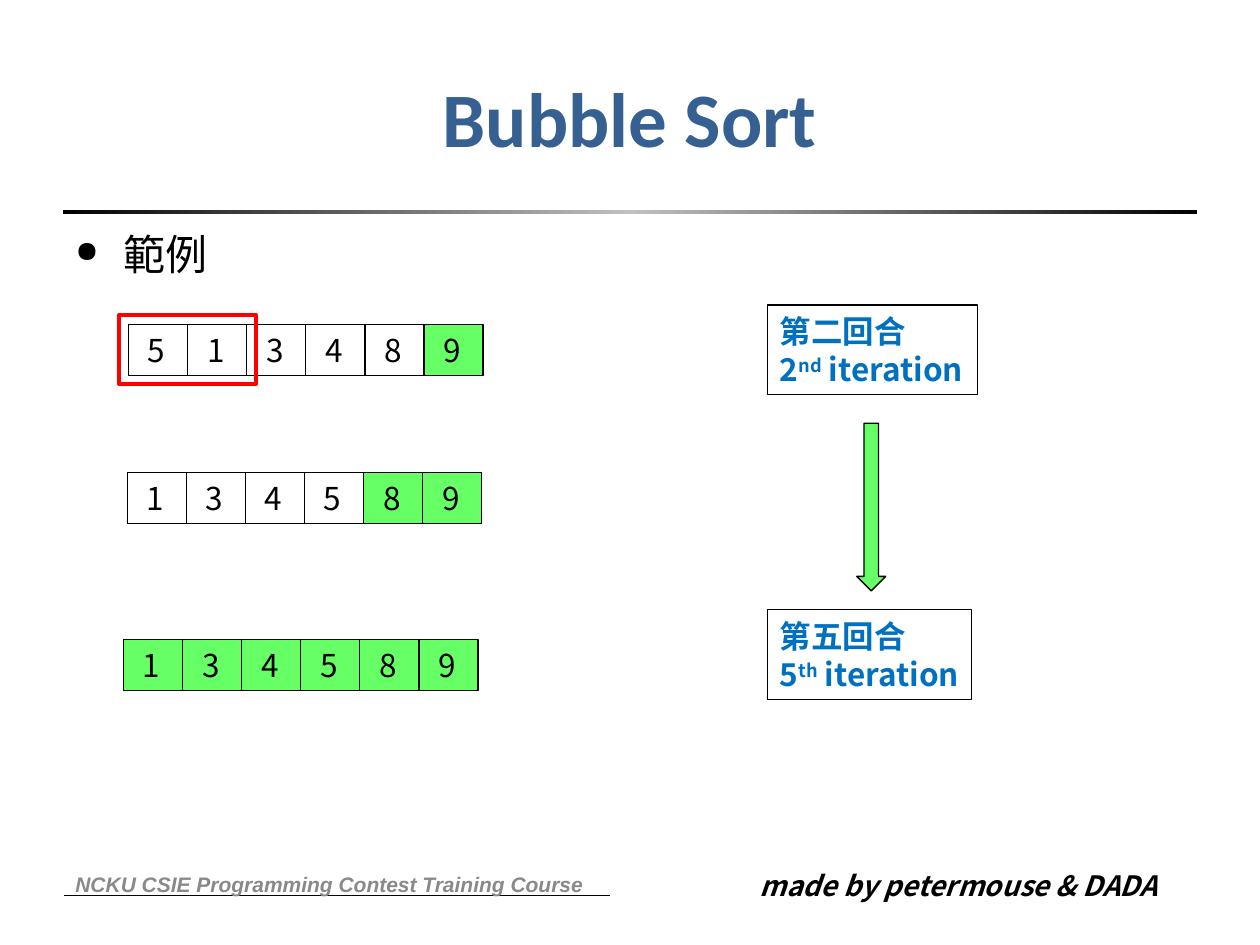
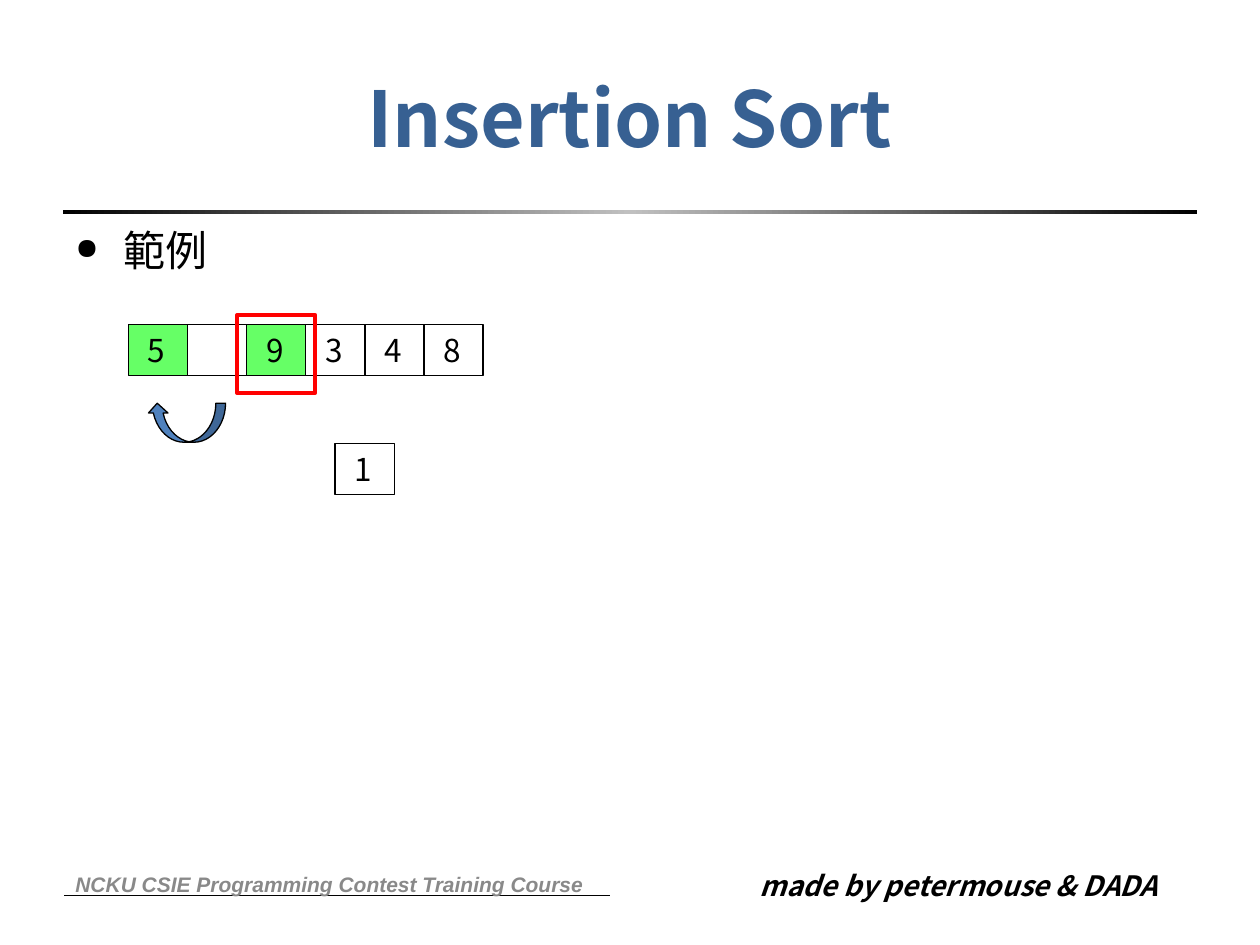
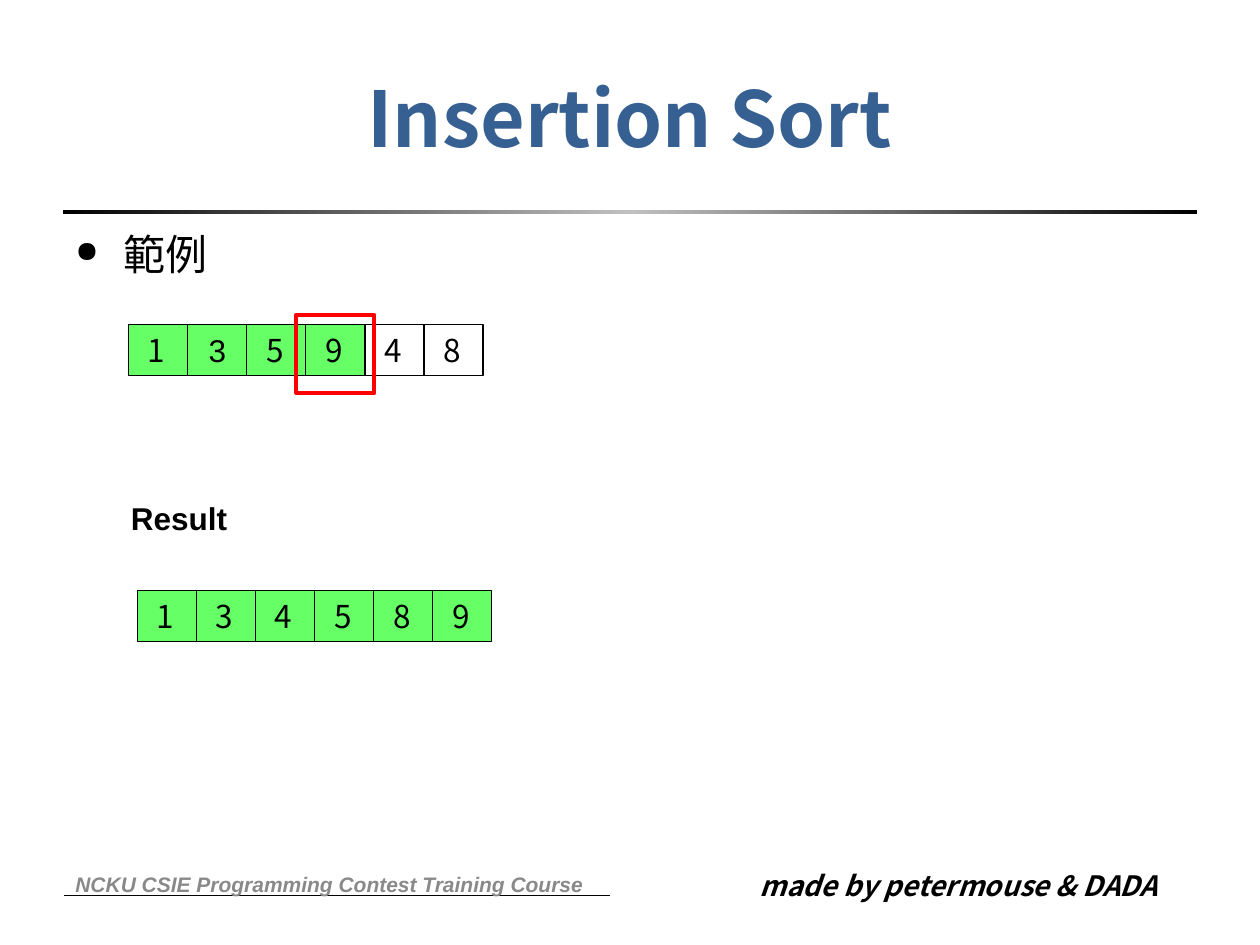
import copy
import pptx
import pptx.util
import pptx.dml.color
import pptx.enum.shapes
import pptx.enum.text
import pptx.oxml.ns
from dataclasses import dataclass
from lxml import etree

SHAPE = pptx.enum.shapes.MSO_SHAPE
ALIGN = pptx.enum.text.PP_ALIGN
ANCHOR = pptx.enum.text.MSO_ANCHOR
Pt = pptx.util.Pt
qn = pptx.oxml.ns.qn


@dataclass(frozen=True)
class Theme:
    ink: str = "000000"
    paper: str = "FFFFFF"
    silver: str = "C0C0C0"
    grey: str = "898989"
    title: str = "376092"
    callout: str = "0070C0"
    sorted: str = "66FF66"
    focus: str = "FF0000"
    arrow: str = "4F81BD"
    sans: str = "Noto Sans CJK SC"
    arial: str = "Arial"
    calibri: str = "Calibri"
    title_pt: int = 44
    bullet_pt: int = 24
    body_pt: int = 18
    credit_pt: int = 16
    course_pt: int = 12
    thin: float = 0.75
    thick: float = 2.25


T = Theme()
RGB = pptx.dml.color.RGBColor.from_string

prs = pptx.Presentation()
prs.slide_width = pptx.util.Inches(10)
prs.slide_height = pptx.util.Inches(7.5)
COL = prs.slide_width / 100
ROW = prs.slide_height / 100

# Array grid, in hundredths of the slide's width and height
CELL_W, CELL_H = 4.69, 5.4
FRAME_PAD = 0.75
FIRST_ROW = 34.35


def box(shapes, kind, x, y, w, h, fill=None, line=None, weight=T.thin):
    """Add a preset shape, placed in hundredths of the slide."""
    sp = shapes.add_shape(kind, round(x * COL), round(y * ROW), round(w * COL), round(h * ROW))
    sp.shadow.inherit = False
    if fill:
        sp.fill.solid()
        sp.fill.fore_color.rgb = RGB(fill)
    else:
        sp.fill.background()
    if line:
        sp.line.color.rgb = RGB(line)
        sp.line.width = Pt(weight)
    else:
        sp.line.fill.background()
    return sp


def write(sp, lines, size, color=T.ink, font=T.sans, bold=False, italic=False,
          align=ALIGN.LEFT, anchor=ANCHOR.MIDDLE, spacing=None):
    """Fill a shape with lines, each a list of (text, raised) runs."""
    tf = sp.text_frame
    tf.word_wrap = True
    tf.vertical_anchor = anchor
    if align == ALIGN.LEFT:
        tf.margin_right = 0
    for i, line in enumerate(lines):
        p = tf.add_paragraph() if i else tf.paragraphs[0]
        p.alignment = align
        if spacing:
            p.line_spacing = Pt(spacing)
        for text, raised in line:
            r = p.add_run()
            r.text = text
            r.font.size, r.font.bold, r.font.italic = Pt(size), bold, italic
            r.font.color.rgb = RGB(color)
            r.font.name = font
            rPr = r.font._element
            etree.SubElement(rPr, qn("a:ea")).set("typeface", T.sans)
            if raised:
                rPr.set("baseline", "30000")


# Arrays: left, top, values, indexes of sorted cells, values set in Arial
# Frames: first cell, number of cells, top, height
slides = [
    dict(title="Bubble Sort", font=T.calibri, bullet_top=23.33,
         arrays=[(10.2, FIRST_ROW, "513489", {5}, ""),
                 (10.1, 50, "134589", {4, 5}, ""),
                 (9.8, 67.7, "134589", set(range(6)), "")],
         frame=(0, 2, 33.33, 7.33),
         callouts=[(32.27, 16.7, "第二回合", "2", "nd"),
                   (64.53, 16.2, "第五回合", "5", "th")],
         arrow=(SHAPE.DOWN_ARROW, 68, 44.8, 2.3, 17.73, T.sorted, 0)),
    dict(title="Insertion Sort", font=T.sans, bullet_top=22.93,
         arrays=[(10.2, FIRST_ROW, "5 9348", {0, 2}, ""),
                 (26.6, 46.9, "1", set(), "")],
         frame=(2, 1, 33.33, 8.27),
         arrow=(SHAPE.CURVED_DOWN_ARROW, 11.7, 42.67, 6.2, 4.13, T.arrow, 180)),
    dict(title="Insertion Sort", font=T.sans, bullet_top=23.33,
         arrays=[(10.2, FIRST_ROW, "135948", {0, 1, 2, 3}, "3"),
                 (10.9, 62.5, "134589", set(range(6)), "")],
         frame=(3, 1, 33.33, 8.27),
         result="Result"),
]

for item in slides:
    shapes = prs.slides.add_slide(prs.slide_layouts[6]).shapes

    # Band under the title: black, silver, black
    sp = box(shapes, SHAPE.RECTANGLE, 5, 22.27, 90, 0.4)
    sp.fill.gradient()
    sp.fill.gradient_angle = 0
    stops = sp.fill._xPr.find(qn("a:gradFill")).find(qn("a:gsLst"))
    stops.append(copy.deepcopy(stops[0]))
    for stop, pos, color in zip(sp.fill.gradient_stops, (0, 0.5, 1), (T.ink, T.silver, T.ink)):
        stop.position = pos
        stop.color.rgb = RGB(color)

    # Footer
    ln = shapes.add_connector(pptx.enum.shapes.MSO_CONNECTOR.STRAIGHT, round(5.1 * COL),
                              round(94.8 * ROW), round(48.4 * COL), round(94.8 * ROW))
    ln.line.color.rgb = RGB(T.ink)
    ln.line.width = Pt(0.5)
    etree.SubElement(ln._element.spPr, qn("a:effectLst"))
    write(box(shapes, SHAPE.RECTANGLE, 59.3, 91.2, 33.9, 4.93),
          [[("made by petermouse & DADA", False)]], T.credit_pt, bold=True, italic=True)
    write(box(shapes, SHAPE.RECTANGLE, 5, 90.93, 42.6, 5.33),
          [[("NCKU CSIE Programming Contest Training Course", False)]],
          T.course_pt, T.grey, T.arial, bold=True, italic=True)

    # Title and bullet
    write(box(shapes, SHAPE.RECTANGLE, 5, 4, 90, 16.67), [[(item["title"], False)]],
          T.title_pt, T.title, item["font"], bold=True, align=ALIGN.CENTER)
    sp = box(shapes, SHAPE.RECTANGLE, 5, item["bullet_top"], 90, 66)
    write(sp, [[("範例", False)]], T.bullet_pt, anchor=ANCHOR.TOP, spacing=30)
    pPr = sp.text_frame.paragraphs[0]._p.get_or_add_pPr()
    pPr.set("marL", str(pptx.util.Inches(0.38)))
    pPr.set("indent", str(-pptx.util.Inches(0.38)))
    etree.SubElement(pPr, qn("a:buSzPct")).set("val", "70000")
    etree.SubElement(pPr, qn("a:buChar")).set("char", "●")

    # Arrays of cells
    for left, top, values, done, in_arial in item["arrays"]:
        cells = shapes.add_group_shape().shapes if len(values) > 1 else shapes
        for i, value in enumerate(values):
            sp = box(cells, SHAPE.RECTANGLE, left + i * CELL_W, top, CELL_W, CELL_H,
                     T.sorted if i in done else T.paper, T.ink)
            if value != " ":
                write(sp, [[(" " + value, False)]], T.body_pt,
                      font=T.arial if value in in_arial else T.sans)

    # Red frame around the cells being compared
    first, count, top, height = item["frame"]
    box(shapes, SHAPE.RECTANGLE, item["arrays"][0][0] + first * CELL_W - FRAME_PAD, top,
        count * CELL_W + 2 * FRAME_PAD, height, line=T.focus, weight=T.thick)

    # Iteration callouts
    for top, width, chinese, number, suffix in item.get("callouts", []):
        write(box(shapes, SHAPE.RECTANGLE, 60.9, top, width, 9.47, line=T.ink),
              [[(chinese, False)], [(number, False), (suffix, True), (" iteration", False)]],
              T.body_pt, T.callout, bold=True, spacing=22)

    # Arrow
    if "arrow" in item:
        kind, x, y, w, h, fill, turn = item["arrow"]
        box(shapes, kind, x, y, w, h, fill, T.ink).rotation = turn

    # Result label
    if "result" in item:
        write(box(shapes, SHAPE.RECTANGLE, 9.4, 52.13, 9.7, 5.33), [[(item["result"], False)]],
              T.body_pt, font=T.arial, bold=True)

prs.save("out.pptx")
